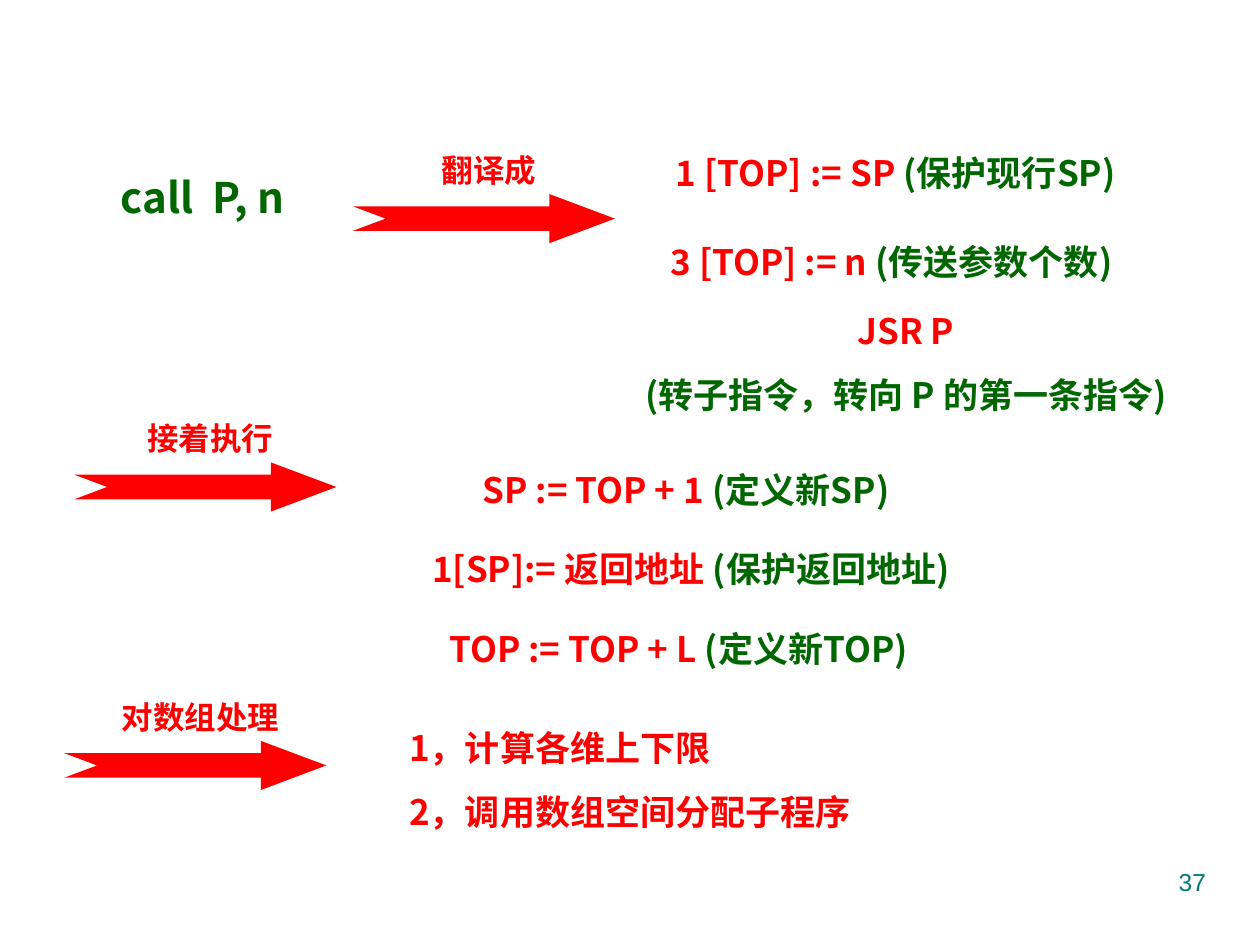
from pptx import Presentation
from pptx.dml.color import RGBColor
from pptx.enum.text import MSO_AUTO_SIZE, PP_ALIGN
from pptx.oxml.ns import qn
from pptx.util import Inches, Pt
from lxml import etree

LEFT, MID, RIGHT = PP_ALIGN.LEFT, PP_ALIGN.CENTER, PP_ALIGN.RIGHT
GROW, FIXED = MSO_AUTO_SIZE.SHAPE_TO_FIT_TEXT, MSO_AUTO_SIZE.NONE

WIDE, HIGH = Inches(10), Inches(7.5)
COLS, ROWS = 100, 75  # square grid cells
CELL = WIDE // COLS

HEX = {"red": "FF0000", "green": "006600", "teal": "007A77"}
CJK, SANS = "Noto Sans CJK SC", "Arial"

# Arrow outline, in eighths of its width and quarters of its height
TIPS = [(0, 1), (6, 1), (6, 0), (8, 2), (6, 4), (6, 3), (0, 3), (1, 2)]
ARROW_W, ARROW_H = 20.8, 3.9

# Label, then left and top of each arrow
STEPS = [
    ("翻译成", 28, 15.4),
    ("接着执行", 5.9, 36.7),
    ("对数组处理", 5.1, 58.8),
]

# Box in grid cells, then code and remark
CODES = [
    ((51.3, 11.5, 39.6, 4.4), "1 [TOP] := SP", " (保护现行SP)"),
    ((51.5, 18.6, 38.5, 4.4), "3 [TOP] := n", " (传送参数个数)"),
    ((36.6, 36.7, 35.7, 4.4), "SP := TOP + 1 ", "(定义新SP)"),
    ((30.5, 43, 48.7, 4.4), "1[SP]:= 返回地址 ", "(保护返回地址)"),
    ((33.9, 49.3, 39.9, 4.4), "TOP := TOP + L ", "(定义新TOP)"),
]


def grid(*cells):
    return [round(n * CELL) for n in cells]


def tint(name):
    return RGBColor.from_string(HEX[name])


def add_run(para, text, color, size, face, bold):
    run = para.add_run()
    run.text = text
    font = run.font
    for key, val in {"size": Pt(size), "name": face, "bold": bold}.items():
        setattr(font, key, val)
    font.color.rgb = tint(color)
    east = etree.SubElement(run._r.get_or_add_rPr(), qn("a:ea"))
    east.set("typeface", face)


def add_text(shapes, box, lines, size=20, align=MID, wrap=False,
             face=CJK, bold=True, fit=GROW, lead=0.625):
    """Each line is a list of (text, color) runs; lead is a share of size."""
    frame = shapes.add_textbox(*grid(*box)).text_frame
    for key, val in {"word_wrap": wrap, "auto_size": fit}.items():
        setattr(frame, key, val)
    for i, runs in enumerate(lines):
        para = frame.add_paragraph() if i else frame.paragraphs[0]
        form = {"alignment": align, "space_before": Pt(size * lead)}
        for key, val in form.items():
            setattr(para, key, val)
        for text, color in runs:
            add_run(para, text, color, size, face, bold)


def add_arrow(shapes, left, top):
    pts = [grid(left + x * ARROW_W / 8, top + y * ARROW_H / 4)
           for x, y in TIPS]
    pen = shapes.build_freeform(*pts[0])
    pen.add_line_segments(pts[1:], close=True)
    arrow = pen.convert_to_shape()
    arrow.shadow.inherit = False
    arrow.fill.solid()
    arrow.fill.fore_color.rgb = tint("red")
    arrow.line.fill.background()


def add_step(shapes, label, left, top):
    group = shapes.add_group_shape().shapes
    box = (left + 0.4, top - 3.9, ARROW_W, 4)
    add_text(group, box, [[(label, "red")]], size=18, wrap=True)
    add_arrow(group, left, top)


def main():
    deck = Presentation()
    deck.slide_width, deck.slide_height = WIDE, HIGH
    shapes = deck.slides.add_slide(deck.slide_layouts[6]).shapes

    # Source statement
    add_text(shapes, (8.3, 13.1, 15.6, 5), [[("call  P, n", "green")]],
             size=24)

    # Labelled arrows
    for step in STEPS:
        add_step(shapes, *step)

    # Generated code with remarks
    for box, code, note in CODES:
        add_text(shapes, box, [[(code, "red"), (note, "green")]])

    # Jump to the subroutine
    add_text(shapes, (47.4, 24.1, 49, 9.4),
             [[("JSR P", "red")],
              [("(转子指令，转向 P 的第一条指令)", "green")]])

    # Array handling
    add_text(shapes, (31.5, 57.2, 37.7, 9.4),
             [[("1，计算各维上下限", "red")],
              [("2，调用数组空间分配子程序", "red")]], align=LEFT)

    # Page number
    add_text(shapes, (COLS - 28.3, ROWS - 6.7, 25, 5.2), [[("37", "teal")]],
             size=14, align=RIGHT, wrap=True, face=SANS, bold=False,
             fit=FIXED, lead=0)

    deck.save("out.pptx")


if __name__ == "__main__":
    main()
